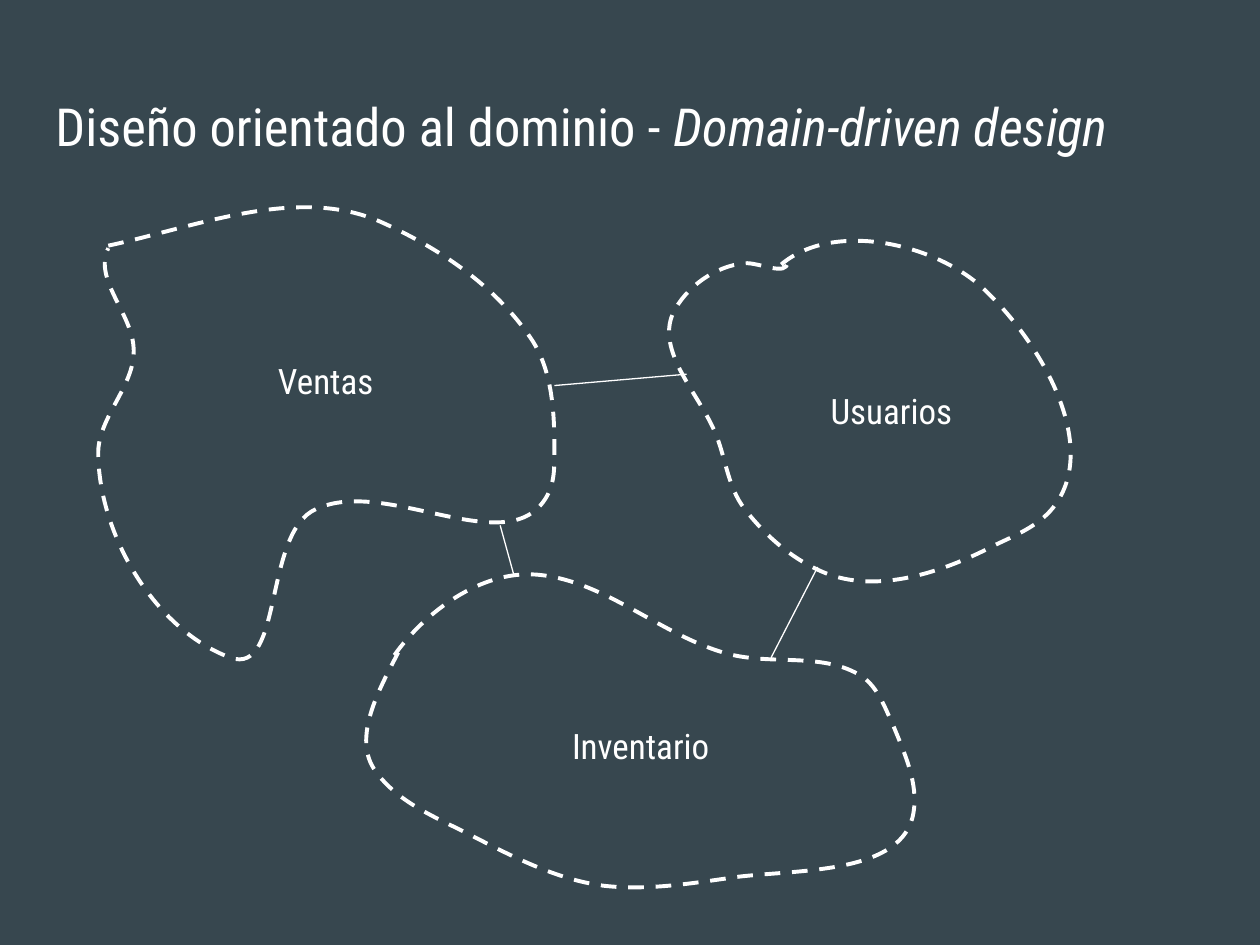
import pptx
import pptx.util
import pptx.dml.color
import pptx.enum.dml
import pptx.enum.shapes
import pptx.enum.text
import pptx.oxml.ns
import lxml.etree

Inches = pptx.util.Inches
Pt = pptx.util.Pt
qn = pptx.oxml.ns.qn

# Content: title runs as (text, italic)
TITLE = [("Diseño orientado al dominio - ", False), ("Domain-driven design", True)]

# Each domain: label, label left and top, outline frame, start point, Bézier
# curves (two control points and an end point each), in inches
DOMAINS = [
    ("Ventas", (1.29, 2.75), (0.77, 1.65, 3.63, 3.58), (0.86, 1.95), [
        (1.56, 1.8, 2.36, 1.47, 3.02, 1.76),
        (3.49, 1.97, 3.95, 2.28, 4.23, 2.71),
        (4.38, 2.95, 4.4, 3.26, 4.4, 3.54),
        (4.4, 3.67, 4.41, 3.82, 4.34, 3.94),
        (4.04, 4.47, 3.07, 3.78, 2.51, 4.04),
        (2.09, 4.22, 2.25, 5.37, 1.83, 5.22),
        (1.23, 5, 0.79, 4.25, 0.78, 3.61),
        (0.77, 3.31, 1.09, 3.05, 1.06, 2.75),
        (1.04, 2.48, 0.74, 2.21, 0.86, 1.97),
    ]),
    ("Usuarios", (5.78, 2.99), (5.31, 1.91, 3.19, 2.7), (6.2, 2.1), [
        (6.6, 1.76, 7.37, 1.92, 7.77, 2.26),
        (8.23, 2.67, 8.73, 3.5, 8.38, 4),
        (8.27, 4.16, 8.08, 4.24, 7.91, 4.32),
        (7.51, 4.53, 7, 4.71, 6.58, 4.56),
        (6.31, 4.46, 6.08, 4.26, 5.91, 4.04),
        (5.77, 3.86, 5.76, 3.62, 5.67, 3.42),
        (5.54, 3.12, 5.21, 2.79, 5.34, 2.49),
        (5.44, 2.28, 5.68, 2.11, 5.91, 2.09),
        (6.02, 2.08, 6.25, 2.2, 6.25, 2.08),
    ]),
    ("Inventario", (3.79, 5.65), (2.9, 4.56, 4.35, 2.48), (3.13, 5.2), [
        (3.38, 4.85, 3.82, 4.53, 4.25, 4.56),
        (4.8, 4.6, 5.25, 5.05, 5.78, 5.19),
        (6.12, 5.28, 6.51, 5.18, 6.81, 5.35),
        (6.96, 5.43, 7.02, 5.61, 7.09, 5.76),
        (7.18, 5.98, 7.29, 6.22, 7.25, 6.45),
        (7.17, 6.94, 6.34, 6.9, 5.85, 6.96),
        (5.5, 7.01, 5.14, 7.07, 4.79, 7.03),
        (4.41, 6.98, 4.05, 6.79, 3.7, 6.61),
        (3.44, 6.48, 3.15, 6.36, 2.98, 6.12),
        (2.79, 5.86, 3.01, 5.47, 3.16, 5.18),
    ]),
]

# Links between domains: from x, y to x, y
LINKS = [
    (4.4, 3.06, 5.45, 2.97),
    (3.97, 4.17, 4.08, 4.57),
    (6.49, 4.5, 6.12, 5.22),
]

BACKGROUND = pptx.dml.color.RGBColor(0x37, 0x47, 0x4F)
WHITE = pptx.dml.color.RGBColor(0xFF, 0xFF, 0xFF)
FONT = "Roboto Condensed"
LABEL_SIZE = (2.59, 0.54)
MARGIN = 0.1


def place(shape, frame):
    shape.left, shape.top, shape.width, shape.height = map(Inches, frame)


def write_text(shape, runs, size, alignment):
    frame = shape.text_frame
    frame.word_wrap = True
    frame.auto_size = pptx.enum.text.MSO_AUTO_SIZE.NONE
    frame.vertical_anchor = pptx.enum.text.MSO_ANCHOR.TOP
    frame.margin_left = frame.margin_right = Inches(MARGIN)
    frame.margin_top = frame.margin_bottom = Inches(MARGIN)
    paragraph = frame.paragraphs[0]
    paragraph.alignment = alignment
    for text, italic in runs:
        run = paragraph.add_run()
        run.text = text
        run.font.name = FONT
        run.font.size = Pt(size)
        run.font.color.rgb = WHITE
        if italic:
            run.font.italic = True


def bend_outline(outline, frame, start, curves):
    """Turn the straight segments into Bézier curves, measured from the frame."""
    left, top, width, height = frame
    geometry = outline._element.spPr.find(".//" + qn("a:path"))
    geometry.set("w", str(Inches(width)))
    geometry.set("h", str(Inches(height)))
    for segment, numbers in zip(geometry, [start] + curves):
        if segment.tag == qn("a:lnTo"):
            segment.tag = qn("a:cubicBezTo")
        for point in list(segment):
            segment.remove(point)
        for x, y in zip(numbers[::2], numbers[1::2]):
            lxml.etree.SubElement(segment, qn("a:pt"),
                                  x=str(Inches(x - left)), y=str(Inches(y - top)))


def add_outline(slide, frame, start, curves):
    builder = slide.shapes.build_freeform(*map(Inches, start))
    ends = [tuple(map(Inches, curve[4:])) for curve in curves]
    builder.add_line_segments(ends, close=False)
    outline = builder.convert_to_shape()
    place(outline, frame)
    bend_outline(outline, frame, start, curves)
    outline.shadow.inherit = False
    outline.fill.background()
    outline.line.color.rgb = WHITE
    outline.line.width = Pt(2.25)
    outline.line.dash_style = pptx.enum.dml.MSO_LINE.DASH


def add_link(slide, ends):
    link = slide.shapes.add_connector(
        pptx.enum.shapes.MSO_CONNECTOR.STRAIGHT, *map(Inches, ends))
    link.line.color.rgb = WHITE
    link.line.width = Pt(0.75)
    lxml.etree.SubElement(link._element.spPr, qn("a:effectLst"))


def main():
    presentation = pptx.Presentation()
    presentation.slide_width = Inches(10)
    presentation.slide_height = Inches(7.5)
    slide = presentation.slides.add_slide(presentation.slide_layouts[5])
    slide.background.fill.solid()
    slide.background.fill.fore_color.rgb = BACKGROUND

    # Title
    title = slide.shapes.title
    place(title, (0.34, 0.65, 9.32, 0.83))
    write_text(title, TITLE, 30, pptx.enum.text.PP_ALIGN.LEFT)

    # Domain outlines, then their labels
    for _, _, frame, start, curves in DOMAINS:
        add_outline(slide, frame, start, curves)
    for name, position, *_ in DOMAINS:
        label = slide.shapes.add_textbox(*map(Inches, position + LABEL_SIZE))
        write_text(label, [(name, False)], 20, pptx.enum.text.PP_ALIGN.CENTER)

    # Links between the domains
    for ends in LINKS:
        add_link(slide, ends)

    presentation.save("out.pptx")


if __name__ == "__main__":
    main()
